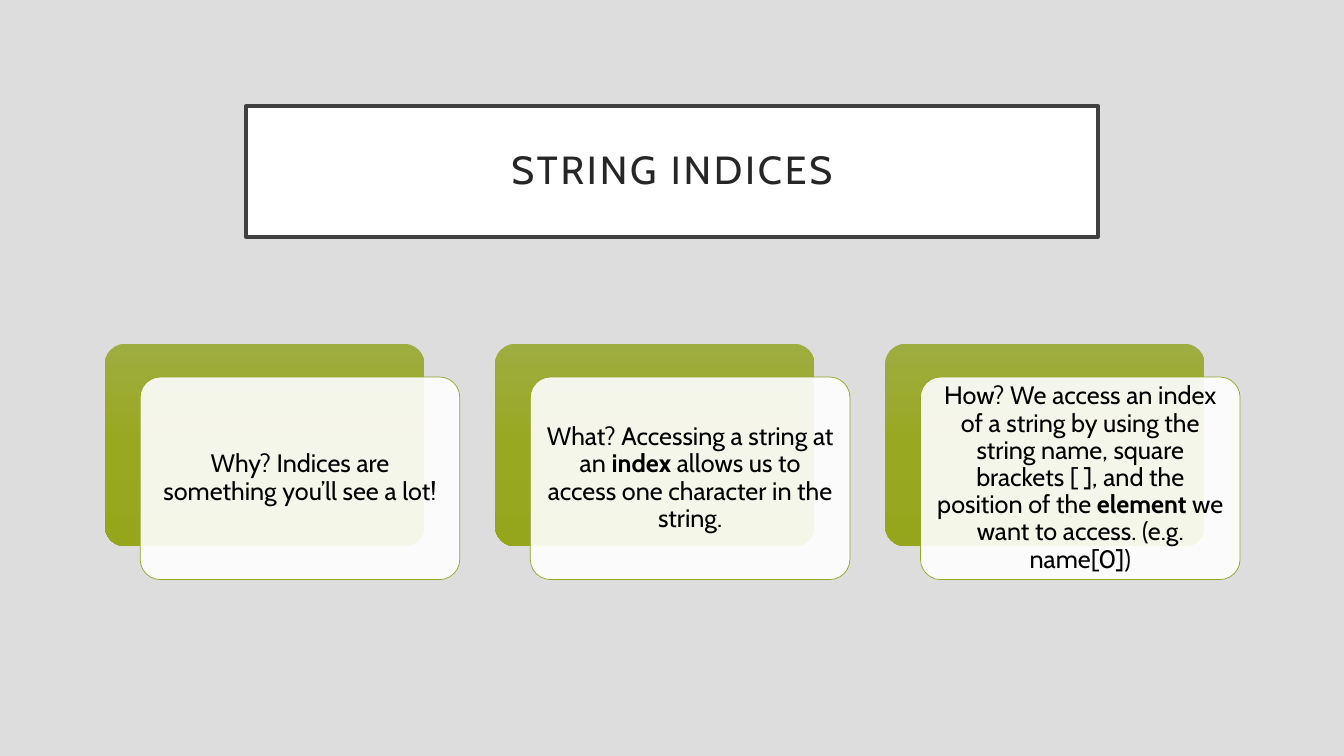
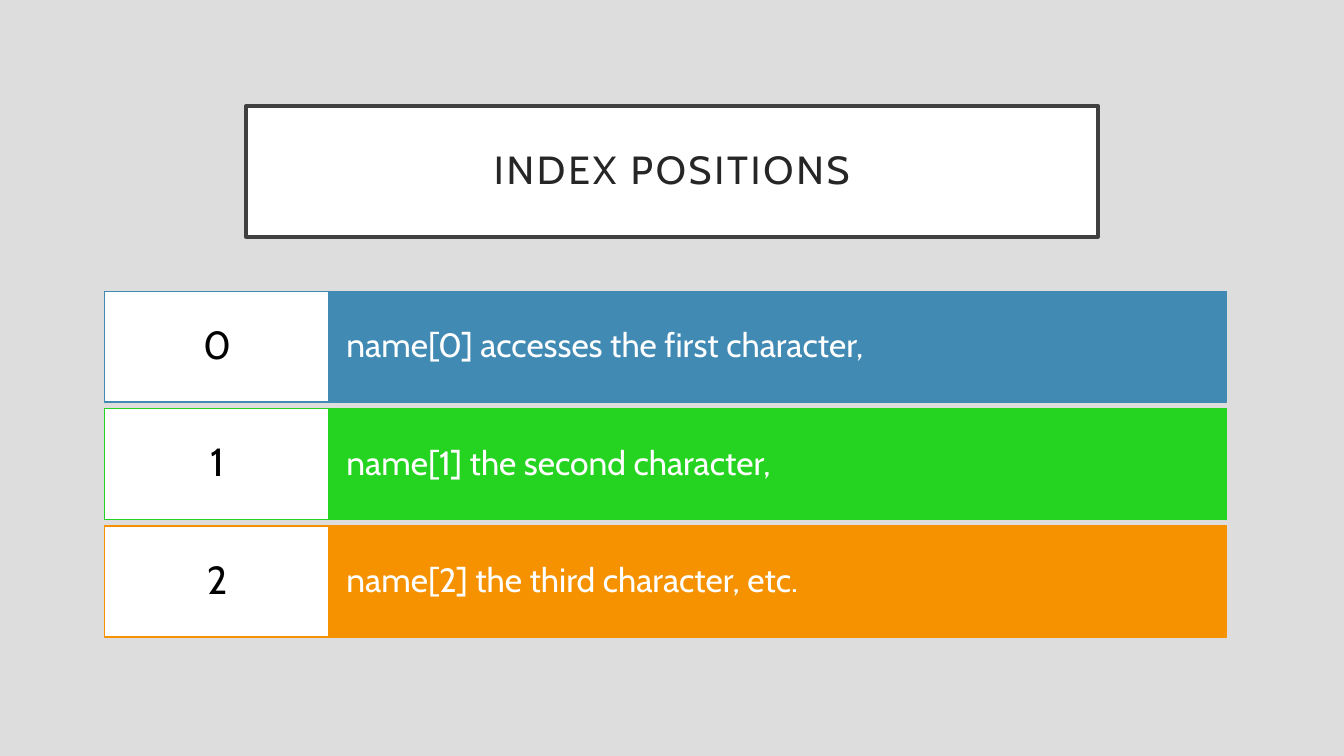
from copy import deepcopy

from lxml import etree
from pptx import Presentation
from pptx.dml.color import RGBColor
from pptx.enum.shapes import MSO_SHAPE
from pptx.enum.text import MSO_ANCHOR, PP_ALIGN
from pptx.oxml.ns import qn
from pptx.util import Inches, Pt

RECTANGLE = MSO_SHAPE.RECTANGLE
ROUNDED = MSO_SHAPE.ROUNDED_RECTANGLE
MIDDLE = MSO_ANCHOR.MIDDLE
LEFT, CENTER = PP_ALIGN.LEFT, PP_ALIGN.CENTER

FONT = "Cabin"
GRID = 100
MARGIN = 7.8
COLORS = {
    "background": "DDDDDD", "white": "FFFFFF", "black": "000000",
    "frame": "404040", "title": "262626", "olive": "97A623",
    "blue": "418AB3", "green": "25D421", "orange": "F69200",
    "olive_top": "9EAD40", "olive_middle": "98A821", "olive_bottom": "95A61C",
}
CARDS = [
    ["Why? Indices are something you’ll see a lot!"],
    ["What? Accessing a string at an ", "index",
     " allows us to access one character in the string."],
    ["How? We access an index of a string by using the string name, square "
     "brackets [ ], and the position of the ", "element",
     " we want to access. (e.g. name[0])"],
]
POSITIONS = [
    ("blue", "name[0] accesses the first character,"),
    ("green", "name[1] the second character,"),
    ("orange", "name[2] the third character, etc."),
]


def color(name):
    """Return a palette colour by its name."""
    return RGBColor.from_string(COLORS[name])


class SlideBuilder:
    """Draw styled elements on the current slide, on a grid of 100 by 100."""

    def __init__(self, deck):
        """Keep the deck and measure one grid column and row."""
        self.deck = deck
        self.column = deck.slide_width / GRID
        self.row = deck.slide_height / GRID
        self.slide = None

    def start(self, title):
        """Add a slide with the shared background and framed title."""
        self.slide = self.deck.slides.add_slide(self.deck.slide_layouts[6])
        background = self.slide.background.fill
        background.solid()
        background.fore_color.rgb = color("background")
        frame = self.box(RECTANGLE, (18.3, 14, 63.4, 17.33), "white", "frame", 2.5)
        self.label(frame, [title], 28, "title", (0.2, 0.2))
        for span in frame.text_frame.paragraphs[0].runs:
            span.font._element.set("spc", "200")

    def box(self, kind, area, fill=None, line=None, weight=1):
        """Add a preset shape placed in columns and rows."""
        left, top, width, height = area
        box = self.slide.shapes.add_shape(
            kind, round(left * self.column), round(top * self.row),
            round(width * self.column), round(height * self.row))
        box.shadow.inherit = False
        if kind == ROUNDED:
            box.adjustments[0] = 0.1
        if fill:
            box.fill.solid()
            box.fill.fore_color.rgb = color(fill)
        if line:
            box.line.color.rgb = color(line)
            box.line.width = Pt(weight)
        else:
            box.line.fill.background()
        return box

    def label(self, box, pieces, size, ink, insets, align=CENTER):
        """Put one paragraph in a box, with every second piece bold."""
        frame = box.text_frame
        frame.word_wrap = True
        frame.vertical_anchor = MIDDLE
        frame.margin_left = frame.margin_right = Inches(insets[0])
        frame.margin_top = frame.margin_bottom = Inches(insets[1])
        para = frame.paragraphs[0]
        para.alignment = align
        para.line_spacing = 0.9
        for number, piece in enumerate(pieces):
            span = para.add_run()
            span.text = piece
            span.font.name = FONT
            span.font.size = Pt(size)
            span.font.bold = number % 2 == 1
            span.font.color.rgb = color(ink)

    def shade(self, box, names):
        """Fill a box with evenly spaced colours from top to bottom."""
        box.fill.gradient()
        box.fill.gradient_angle = 270
        stops = box._element.spPr.find(".//" + qn("a:gsLst"))
        while len(stops) < len(names):
            stops.append(deepcopy(stops[-1]))
        for number, (stop, name) in enumerate(zip(box.fill.gradient_stops, names)):
            stop.color.rgb = color(name)
            stop.position = number / (len(names) - 1)

    def card(self, left, top, pieces):
        """Add a translucent text card over a shaded card."""
        width, height = 23.78, 26.8
        back = self.box(ROUNDED, (left, top, width, height))
        self.shade(back, ["olive_top", "olive_middle", "olive_bottom"])
        front = self.box(ROUNDED, (left + 2.63, top + 4.4, width, height),
                         "white", "olive", 0.5)
        tint = front._element.spPr.find(qn("a:solidFill"))[0]
        etree.SubElement(tint, qn("a:alpha")).set("val", "90000")
        self.label(front, pieces, 18, "black", (0.07, 0.07))

    def band(self, top, number, hue, text):
        """Add a numbered cell with a coloured band beside it."""
        cell_width, height = 16.7, 14.67
        body = self.box(RECTANGLE, (MARGIN + cell_width, top, 66.77, height), hue, hue)
        self.label(body, [text], 24, "white", (0.17, 0.28), LEFT)
        cell = self.box(RECTANGLE, (MARGIN, top, cell_width, height), "white", hue)
        self.label(cell, [str(number)], 28, "black", (0.12, 0.11))


def main():
    """Build and save the deck."""
    deck = Presentation()
    deck.slide_width, deck.slide_height = Inches(13.33), Inches(7.5)
    builder = SlideBuilder(deck)

    builder.start("STRING INDICES")
    for number, pieces in enumerate(CARDS):
        builder.card(MARGIN + number * 29.03, 45.47, pieces)

    builder.start("INDEX POSITIONS")
    for number, (hue, text) in enumerate(POSITIONS):
        builder.band(38.53 + number * 15.53, number, hue, text)

    deck.save("out.pptx")


if __name__ == "__main__":
    main()
